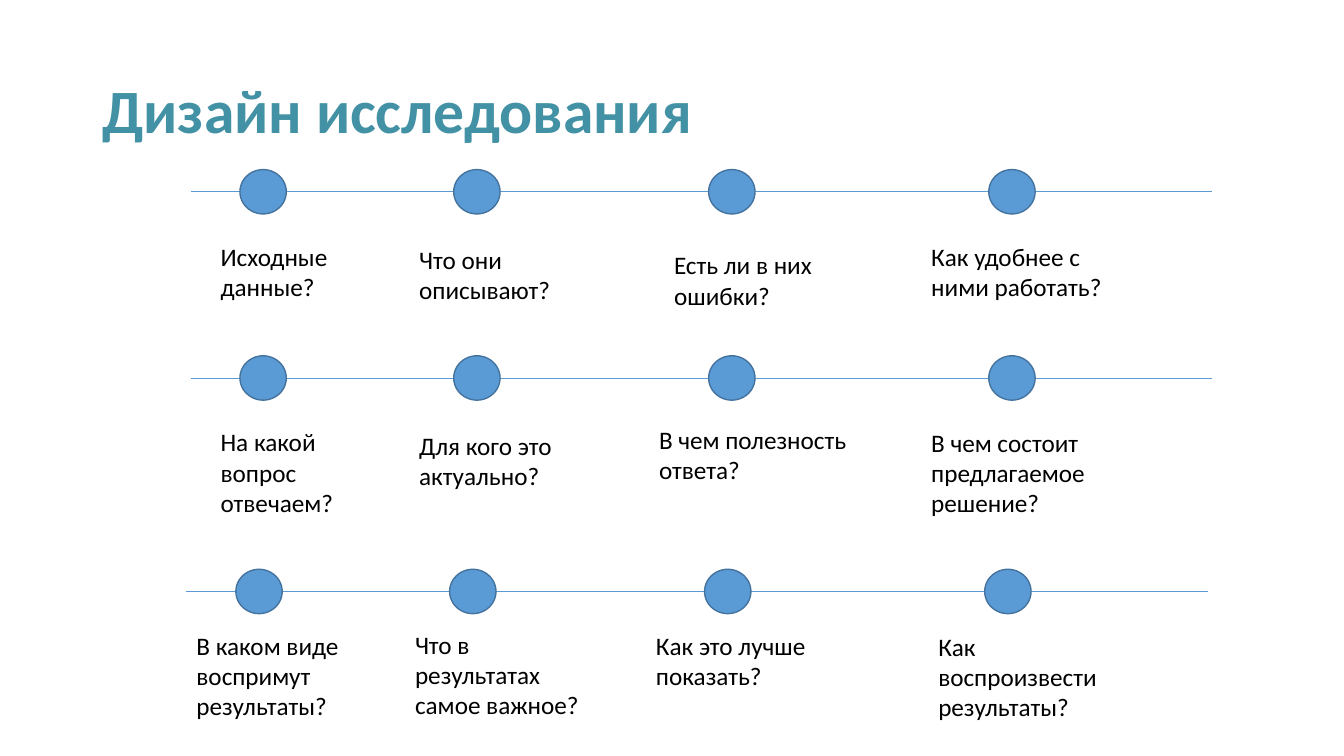
"""Build the research design slide: three timelines of four questions."""
import dataclasses

import lxml.etree
import pptx
import pptx.dml.color
import pptx.enum.shapes
import pptx.enum.text
import pptx.oxml.ns
import pptx.util

Pt = pptx.util.Pt
RGB = pptx.dml.color.RGBColor.from_string


@dataclasses.dataclass(frozen=True)
class Theme:
    """Colours, font and sizes of the slide."""
    font: str = "Calibri"
    title_color: str = "4291A4"
    text_color: str = "000000"
    accent: str = "5B9BD5"
    dot_outline: str = "43739E"
    title_size: float = 44
    text_size: float = 18
    axis_width: float = 0.5
    outline_width: float = 1


THEME = Theme()
AXIS_LENGTH = 729.4
DOT_WIDTH, DOT_HEIGHT = 33.1, 31.7
DOT_OFFSETS = (35.3, 188, 370.1, 570.2)
TWO_LINES, THREE_LINES = 50.9, 72.5

TIMELINES = (
    (136.1, 137, (
        ("Исходные данные?", 150.5, 168.5, 105.8, TWO_LINES),
        ("Что они описывают?", 292.3, 170.8, 130.3, TWO_LINES),
        ("Есть ли в них ошибки?", 474.5, 174.8, 130.3, TWO_LINES),
        ("Как удобнее с ними работать?", 658.1, 169, 147.6, TWO_LINES),
    )),
    (136.1, 270, (
        ("На какой вопрос отвечаем?", 150.5, 301.2, 105.8, THREE_LINES),
        ("Для кого это актуально?", 292.3, 303.8, 130.3, TWO_LINES),
        ("В чем полезность ответа?", 463.7, 299.5, 156.2, TWO_LINES),
        ("В чем состоит предлагаемое решение?", 658.1, 301.7, 147.6, THREE_LINES),
    )),
    (133.2, 422.5, (
        ("В каком виде воспримут результаты?", 133.2, 446.4, 133.2, THREE_LINES),
        ("Что в результатах самое важное?", 289.4, 445.7, 133.9, THREE_LINES),
        ("Как это лучше показать?", 461.5, 446.4, 156.2, TWO_LINES),
        ("Как воспроизвести результаты?", 663.1, 447.1, 147.6, THREE_LINES),
    )),
)


def apply_format(target, values):
    """Set each attribute named in values on the target."""
    for name, value in values.items():
        setattr(target, name, value)


def add_text(slide, text, box, frame_format, font_format, color, line_spacing=1.0):
    """Add a wrapped text box with one formatted paragraph."""
    frame = slide.shapes.add_textbox(*map(Pt, box)).text_frame
    apply_format(frame, {"word_wrap": True, **frame_format})
    paragraph = frame.paragraphs[0]
    paragraph.line_spacing = line_spacing
    run = paragraph.add_run()
    run.text = text
    apply_format(run.font, {"name": THEME.font, **font_format})
    run.font.color.rgb = RGB(color)


def add_title(slide, text):
    """Add the slide title."""
    add_text(slide, text, (66, 28.8, 828, 104.4),
             {"vertical_anchor": pptx.enum.text.MSO_ANCHOR.MIDDLE},
             {"size": Pt(THEME.title_size), "bold": True},
             THEME.title_color, line_spacing=0.9)


def add_question(slide, text, *box):
    """Add a question below its dot."""
    add_text(slide, text, box,
             {"auto_size": pptx.enum.text.MSO_AUTO_SIZE.SHAPE_TO_FIT_TEXT},
             {"size": Pt(THEME.text_size)}, THEME.text_color)


def add_axis(slide, left, middle):
    """Add the thin horizontal line of a timeline."""
    axis = slide.shapes.add_connector(
        pptx.enum.shapes.MSO_CONNECTOR.STRAIGHT,
        Pt(left), Pt(middle), Pt(left + AXIS_LENGTH), Pt(middle))
    axis.line.color.rgb = RGB(THEME.accent)
    axis.line.width = Pt(THEME.axis_width)
    lxml.etree.SubElement(axis._element.spPr, pptx.oxml.ns.qn("a:effectLst"))


def add_dot(slide, left, middle):
    """Add a timeline dot centred vertically on the axis."""
    dot = slide.shapes.add_shape(
        pptx.enum.shapes.MSO_SHAPE.OVAL, Pt(left), Pt(middle - DOT_HEIGHT / 2),
        Pt(DOT_WIDTH), Pt(DOT_HEIGHT))
    dot.shadow.inherit = False
    dot.fill.solid()
    dot.fill.fore_color.rgb = RGB(THEME.accent)
    dot.line.color.rgb = RGB(THEME.dot_outline)
    dot.line.width = Pt(THEME.outline_width)


def add_timeline(slide, left, middle, questions):
    """Add an axis with its dots and questions."""
    add_axis(slide, left, middle)
    for offset in DOT_OFFSETS:
        add_dot(slide, left + offset, middle)
    for question in questions:
        add_question(slide, *question)


def main():
    """Create the presentation and save it."""
    presentation = pptx.Presentation()
    apply_format(presentation, {"slide_width": Pt(960), "slide_height": Pt(540)})
    slide = presentation.slides.add_slide(presentation.slide_layouts[6])
    add_title(slide, "Дизайн исследования")
    for timeline in TIMELINES:
        add_timeline(slide, *timeline)
    presentation.save("out.pptx")


if __name__ == "__main__":
    main()
